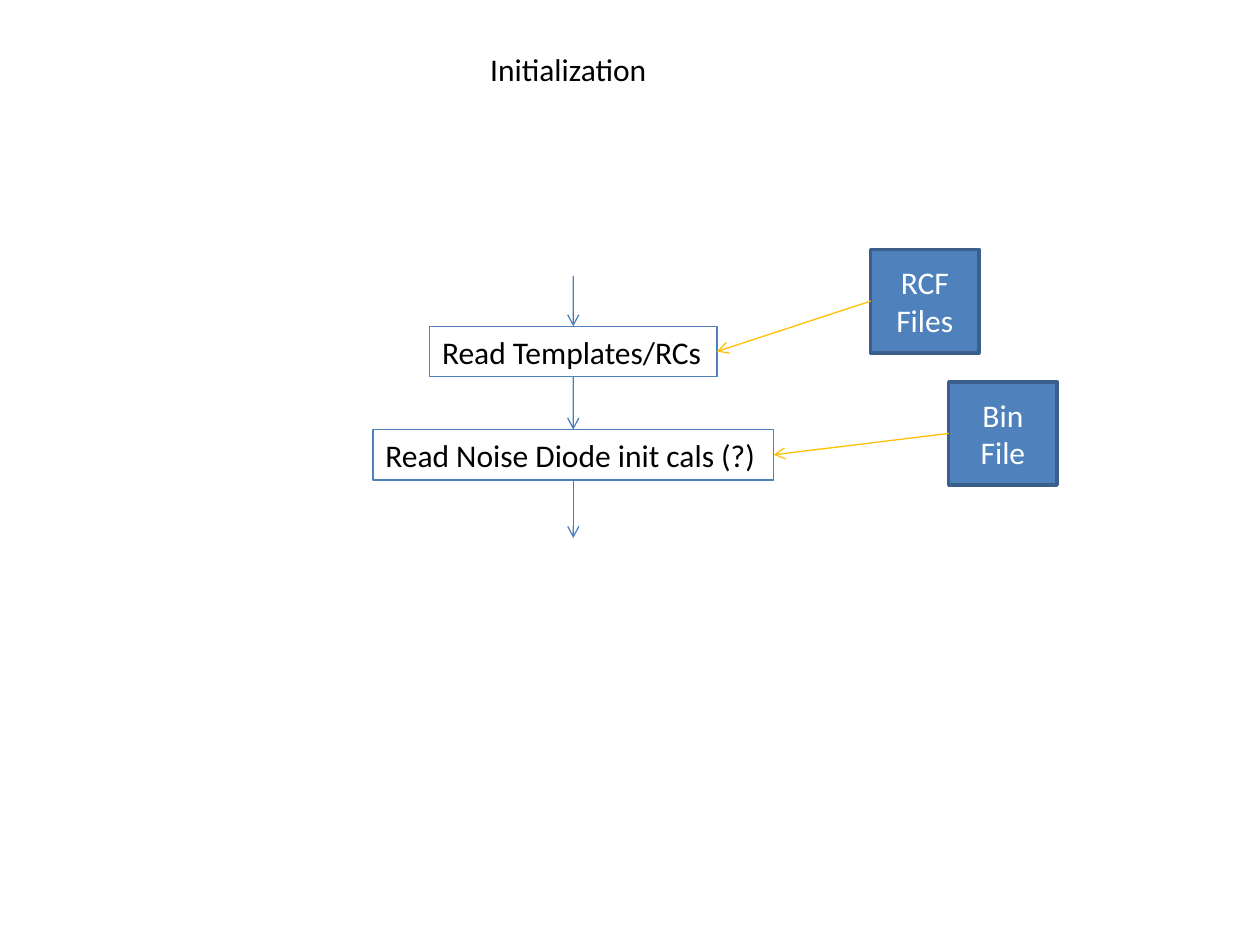
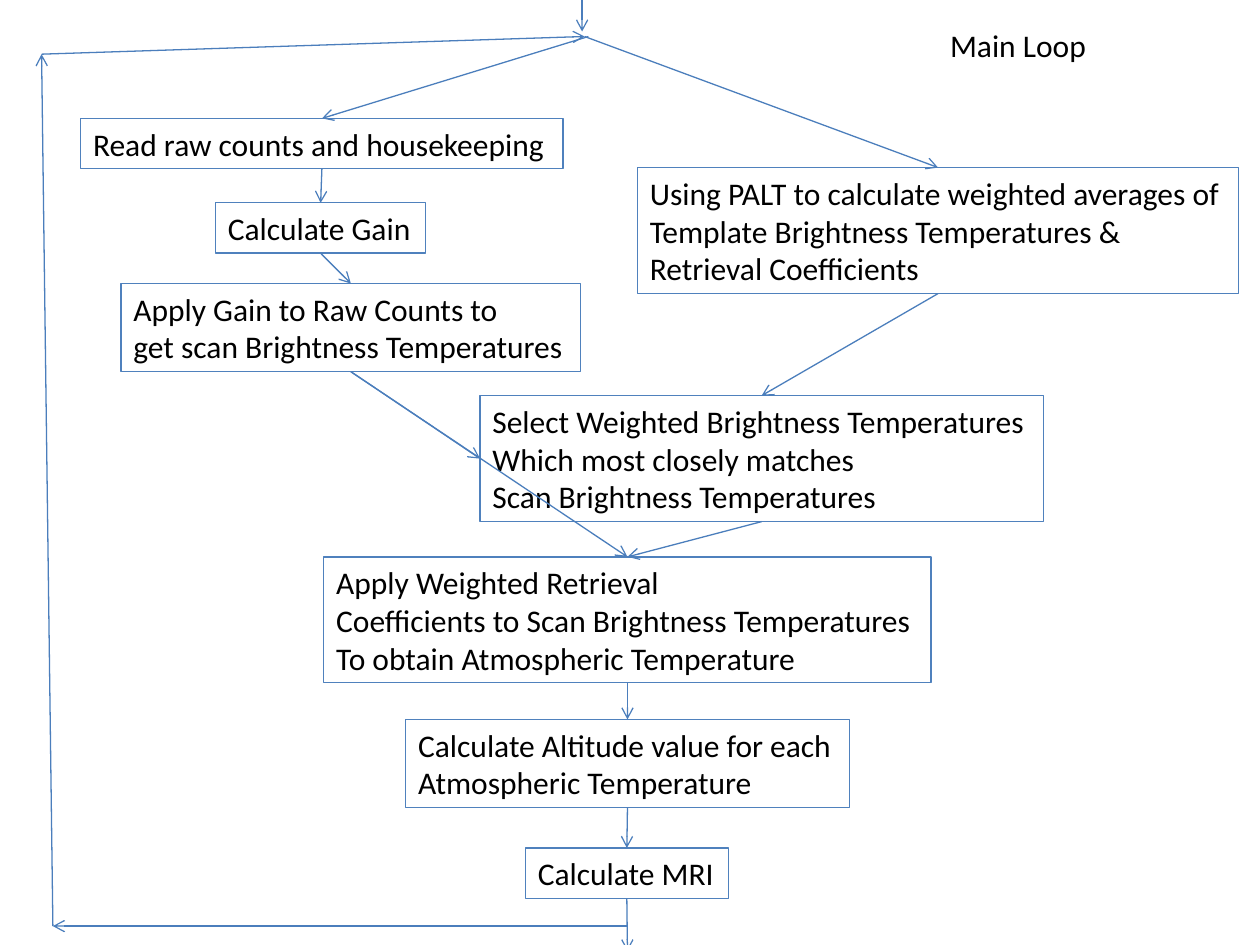
from dataclasses import dataclass
from enum import IntEnum

from lxml.etree import SubElement
from pptx import Presentation
from pptx.dml.color import RGBColor
from pptx.enum.shapes import MSO_CONNECTOR, MSO_SHAPE
from pptx.enum.text import MSO_ANCHOR, MSO_AUTO_SIZE, PP_ALIGN
from pptx.oxml.ns import qn
from pptx.shapes.autoshape import Shape
from pptx.slide import Slide
from pptx.util import Inches, Pt

BLACK = RGBColor(0x00, 0x00, 0x00)
WHITE = RGBColor(0xFF, 0xFF, 0xFF)
BLUE = RGBColor(0x4F, 0x81, 0xBD)
DARK_BLUE = RGBColor(0x3A, 0x5F, 0x8C)
ARROW_BLUE = RGBColor(0x4B, 0x7E, 0xBC)
AMBER = RGBColor(0xFF, 0xC0, 0x00)
FONT = "Calibri"
TEXT_SIZE = Pt(18)
THIN = Pt(0.75)
TITLE_ONLY = 5
LINE_HEIGHT = 0.3
PADDING = 0.1


class Site(IntEnum):
    TOP = 0
    LEFT = 1
    BOTTOM = 2
    RIGHT = 3


@dataclass(frozen=True)
class Step:
    left: float
    top: float
    width: float
    lines: tuple[str, ...]


@dataclass(frozen=True)
class DataFile:
    left: float
    top: float
    text: str


@dataclass(frozen=True)
class Point:
    x: float
    y: float


@dataclass(frozen=True)
class Dock:
    shape: Shape
    site: Site


End = Point | Dock


def style_text(sp: Shape, color: RGBColor, align: PP_ALIGN) -> None:
    for p in sp.text_frame.paragraphs:
        p.alignment = align
        p.font.name = FONT
        p.font.size = TEXT_SIZE
        p.font.color.rgb = color


def fit_text(sp: Shape, text: str) -> None:
    tf = sp.text_frame
    tf.text = text
    tf.word_wrap = False
    tf.auto_size = MSO_AUTO_SIZE.SHAPE_TO_FIT_TEXT
    tf.vertical_anchor = MSO_ANCHOR.TOP
    style_text(sp, BLACK, PP_ALIGN.LEFT)


def add_titled_slide(prs, title: str, left: float, top: float, width: float) -> Slide:
    s = prs.slides.add_slide(prs.slide_layouts[TITLE_ONLY])
    sp = s.shapes.title
    sp.left, sp.top = Inches(left), Inches(top)
    sp.width, sp.height = Inches(width), Inches(0.4)
    fit_text(sp, title)
    return s


def add_step(s: Slide, step: Step) -> Shape:
    height = LINE_HEIGHT * len(step.lines) + PADDING
    sp = s.shapes.add_textbox(
        Inches(step.left), Inches(step.top), Inches(step.width), Inches(height)
    )
    sp.line.color.rgb = BLUE
    sp.line.width = THIN
    fit_text(sp, "\n".join(step.lines))
    return sp


def add_file(s: Slide, file: DataFile) -> Shape:
    sp = s.shapes.add_shape(
        MSO_SHAPE.RECTANGLE,
        Inches(file.left), Inches(file.top), Inches(0.86), Inches(0.82),
    )
    sp.shadow.inherit = False
    sp.fill.solid()
    sp.fill.fore_color.rgb = BLUE
    sp.line.color.rgb = DARK_BLUE
    sp.line.width = Pt(2)
    sp.text_frame.text = file.text
    sp.text_frame.word_wrap = True
    sp.text_frame.vertical_anchor = MSO_ANCHOR.MIDDLE
    style_text(sp, WHITE, PP_ALIGN.CENTER)
    return sp


def position(end: End) -> tuple[int, int]:
    if isinstance(end, Point):
        return Inches(end.x), Inches(end.y)
    sp = end.shape
    mid_x, mid_y = sp.left + sp.width // 2, sp.top + sp.height // 2
    return {
        Site.TOP: (mid_x, sp.top),
        Site.LEFT: (sp.left, mid_y),
        Site.BOTTOM: (mid_x, sp.top + sp.height),
        Site.RIGHT: (sp.left + sp.width, mid_y),
    }[end.site]


def add_arrow(s: Slide, start: End, end: End, color: RGBColor = ARROW_BLUE) -> None:
    cxn = s.shapes.add_connector(
        MSO_CONNECTOR.STRAIGHT, *position(start), *position(end)
    )
    if isinstance(start, Dock):
        cxn.begin_connect(start.shape, int(start.site))
    if isinstance(end, Dock):
        cxn.end_connect(end.shape, int(end.site))
    cxn.line.color.rgb = color
    cxn.line.width = THIN
    SubElement(cxn.line._get_or_add_ln(), qn("a:tailEnd"), type="arrow")
    SubElement(cxn._element.spPr, qn("a:effectLst"))


def add_flow(s: Slide, upper: Shape, lower: Shape) -> None:
    add_arrow(s, Dock(upper, Site.BOTTOM), Dock(lower, Site.TOP))


def build_initialization(prs) -> None:
    s = add_titled_slide(prs, "Initialization", 3.79, 0.35, 1.52)
    templates = add_step(s, Step(3.41, 2.59, 2.28, ("Read Templates/RCs",)))
    diode = add_step(s, Step(2.96, 3.41, 3.18, ("Read Noise Diode init cals (?)",)))
    rcf_files = add_file(s, DataFile(6.91, 1.98, "RCF Files"))
    bin_file = add_file(s, DataFile(7.53, 3.03, "Bin File"))

    add_arrow(s, Point(4.55, 2.19), Dock(templates, Site.TOP))
    add_flow(s, templates, diode)
    add_arrow(s, Dock(diode, Site.BOTTOM), Point(4.55, 4.27))
    for file, step in ((rcf_files, templates), (bin_file, diode)):
        add_arrow(s, Dock(file, Site.LEFT), Dock(step, Site.RIGHT), AMBER)


def build_main_loop(prs) -> None:
    s = add_titled_slide(prs, "Main Loop", 7.44, 0.16, 1.29)
    read = add_step(s, Step(0.64, 0.94, 3.83, ("Read raw counts and housekeeping",)))
    gain = add_step(s, Step(1.71, 1.61, 1.67, ("Calculate Gain",)))
    average = add_step(s, Step(5.06, 1.33, 4.77, (
        "Using PALT to calculate weighted averages of",
        "Template Brightness Temperatures &",
        "Retrieval Coefficients",
    )))
    scan = add_step(s, Step(0.96, 2.25, 3.65, (
        "Apply Gain to Raw Counts to",
        "get scan Brightness Temperatures",
    )))
    select = add_step(s, Step(3.81, 3.14, 4.47, (
        "Select Weighted Brightness Temperatures",
        "Which most closely matches",
        "Scan Brightness Temperatures",
    )))
    retrieve = add_step(s, Step(2.57, 4.42, 4.82, (
        "Apply Weighted Retrieval",
        "Coefficients to Scan Brightness Temperatures",
        "To obtain Atmospheric Temperature",
    )))
    altitude = add_step(s, Step(3.22, 5.71, 3.52, (
        "Calculate Altitude value for each",
        "Atmospheric Temperature",
    )))
    mri = add_step(s, Step(4.17, 6.73, 1.61, ("Calculate MRI",)))

    for upper, lower in (
        (read, gain), (gain, scan), (average, select), (scan, retrieve),
        (select, retrieve), (retrieve, altitude), (altitude, mri),
    ):
        add_flow(s, upper, lower)
    add_arrow(s, Dock(scan, Site.BOTTOM), Dock(select, Site.LEFT))

    loop_start = Point(4.64, 0.29)
    add_arrow(s, Point(4.62, -0.02), Point(4.62, 0.25))
    add_arrow(s, Point(4.67, 0.29), Dock(read, Site.TOP))
    add_arrow(s, loop_start, Dock(average, Site.TOP))
    add_arrow(s, Dock(mri, Site.BOTTOM), Point(4.98, 7.55))

    loop_back = (Point(4.98, 7.35), Point(0.42, 7.35), Point(0.33, 0.43), loop_start)
    for start, end in zip(loop_back, loop_back[1:]):
        add_arrow(s, start, end)


prs = Presentation()
prs.slide_width = Inches(10)
prs.slide_height = Inches(7.5)
build_initialization(prs)
build_main_loop(prs)
prs.save("out.pptx")
